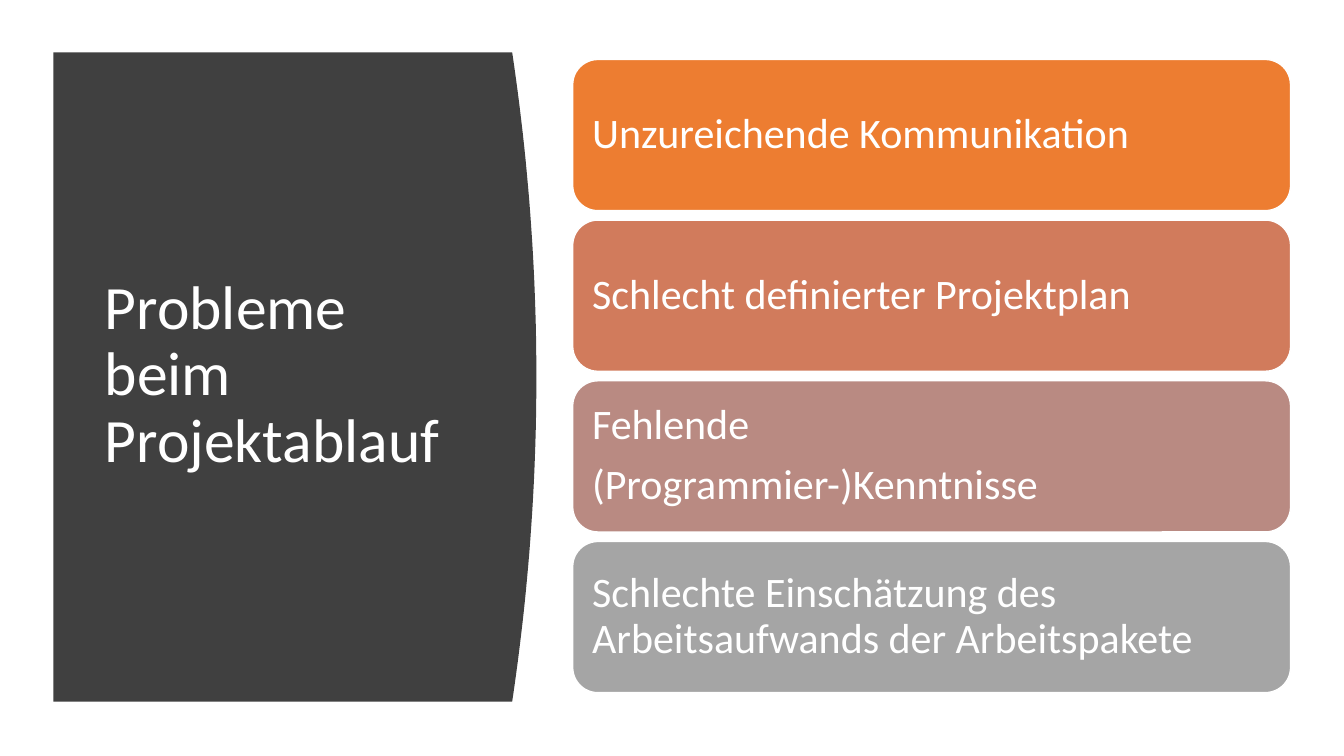
from pptx import Presentation
from pptx.dml.color import RGBColor
from pptx.enum.shapes import MSO_SHAPE as Preset
from pptx.enum.text import MSO_ANCHOR as Anchor, MSO_AUTO_SIZE as AutoSize, PP_ALIGN as Align
from pptx.util import Inches, Pt

WHITE = RGBColor(0xFF, 0xFF, 0xFF)
CHARCOAL = RGBColor(0x40, 0x40, 0x40)
ORANGE = RGBColor(0xED, 0x7D, 0x31)
TERRACOTTA = RGBColor(0xD1, 0x7B, 0x5C)
DUSTY_ROSE = RGBColor(0xB9, 0x8A, 0x82)
GREY = RGBColor(0xA5, 0xA5, 0xA5)
FONT = "Calibri"

TITLE = "Probleme beim Projektablauf"
PROBLEMS = [
    (ORANGE, ["Unzureichende Kommunikation"]),
    (TERRACOTTA, ["Schlecht definierter Projektplan"]),
    (DUSTY_ROSE, ["Fehlende", "(Programmier-)Kenntnisse"]),
    (GREY, ["Schlechte Einschätzung des Arbeitsaufwands der Arbeitspakete"]),
]

PANEL_LEFT, PANEL_TOP, PANEL_EDGE, PANEL_HEIGHT = 0.53, 0.52, 5.08, 6.44
PANEL_BULGE, CURVE_STEPS = 0.24, 48
TITLE_AREA = (0.94, 1.11, 3.74, 5.24)
CARD_LEFT, CARD_TOP, CARD_WIDTH, CARD_HEIGHT = 5.68, 0.59, 7.12, 1.5
CARD_PITCH = 1.594
CARD_INSET = 0.12


def write(frame, lines, size, gap=0):
    frame.word_wrap = True
    frame.auto_size = AutoSize.NONE
    frame.vertical_anchor = Anchor.MIDDLE
    for index, line in enumerate(lines):
        para = frame.add_paragraph() if index else frame.paragraphs[0]
        para.alignment = Align.LEFT
        para.line_spacing = 0.9
        para.space_before = Pt(0)
        para.space_after = Pt(gap)
        span = para.add_run()
        span.text = line
        span.font.name = FONT
        span.font.size = Pt(size)
        span.font.color.rgb = WHITE


def paint(shape, colour):
    shape.shadow.inherit = False
    shape.fill.solid()
    shape.fill.fore_color.rgb = colour


def curve_point(step):
    share = step / CURVE_STEPS
    x = PANEL_EDGE + PANEL_BULGE * 4 * share * (1 - share)
    return Inches(x), Inches(PANEL_TOP + PANEL_HEIGHT * share)


deck = Presentation()
deck.slide_width, deck.slide_height = Inches(13.33), Inches(7.5)
page = deck.slides.add_slide(deck.slide_layouts.get_by_name("Title Only"))
title = page.shapes.title

outline = page.shapes.build_freeform(Inches(PANEL_LEFT), Inches(PANEL_TOP))
outline.add_line_segments(
    [curve_point(step) for step in range(CURVE_STEPS + 1)]
    + [(Inches(PANEL_LEFT), Inches(PANEL_TOP + PANEL_HEIGHT))]
)
panel = outline.convert_to_shape()
paint(panel, CHARCOAL)
panel.line.fill.background()

title.element.addprevious(panel.element)
title.left, title.top, title.width, title.height = map(Inches, TITLE_AREA)
write(title.text_frame, [TITLE], 44)

for row, (colour, lines) in enumerate(PROBLEMS):
    card = page.shapes.add_shape(
        Preset.ROUNDED_RECTANGLE,
        Inches(CARD_LEFT), Inches(CARD_TOP + row * CARD_PITCH),
        Inches(CARD_WIDTH), Inches(CARD_HEIGHT),
    )
    paint(card, colour)
    card.line.color.rgb = WHITE
    card.line.width = Pt(1)
    frame = card.text_frame
    frame.margin_left = frame.margin_right = Inches(CARD_INSET)
    frame.margin_top = frame.margin_bottom = Inches(CARD_INSET)
    write(frame, lines, 30, gap=10.5)

deck.save("out.pptx")
